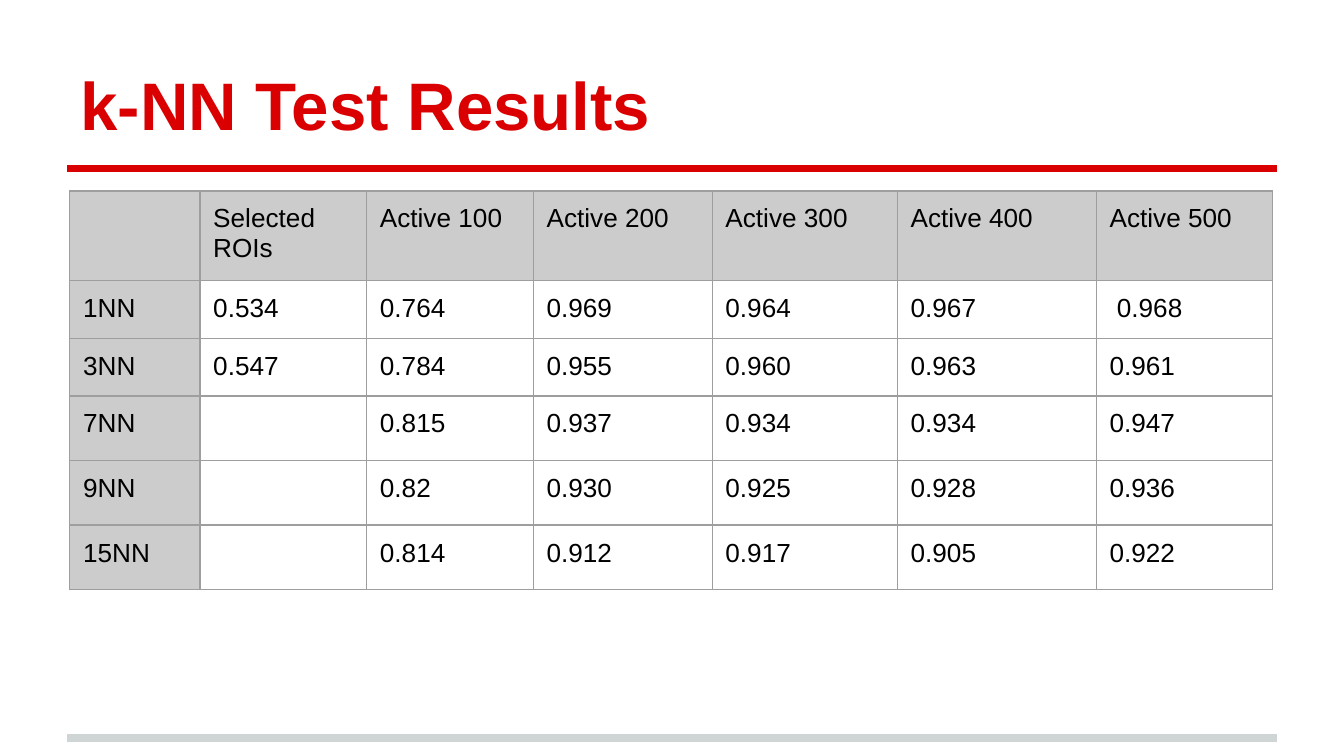
from lxml.etree import SubElement as Sub
from pptx import Presentation
from pptx.dml.color import RGBColor as RGB
from pptx.enum.shapes import MSO_CONNECTOR as CONN
from pptx.enum.text import MSO_ANCHOR as ANCHOR
from pptx.oxml.ns import qn
from pptx.util import Cm, Pt

COLORS = {
    "red": "DA0002",
    "footer": "CFD4D4",
    "header": "CCCCCC",
    "border": "9E9E9E",
    "text": "000000",
}
COL_WIDTHS = [2.46, 3.15, 3.15, 3.38, 3.5, 3.76, 3.33]
ROW_HEIGHTS = [1.6, 1.09, 1.09, 1.22, 1.22, 1.22]
RESULTS = [
    ["", "Selected ROIs"] + [f"Active {n}" for n in range(100, 600, 100)],
    ["1NN", "0.534", "0.764", "0.969", "0.964", "0.967", " 0.968"],
    ["3NN", "0.547", "0.784", "0.955", "0.960", "0.963", "0.961"],
    ["7NN", "", "0.815", "0.937", "0.934", "0.934", "0.947"],
    ["9NN", "", "0.82", "0.930", "0.925", "0.928", "0.936"],
    ["15NN", "", "0.814", "0.912", "0.917", "0.905", "0.922"],
]


class Deck:
    font = "Arial"
    inset = Cm(0.25)

    def __init__(self, prs):
        self.s = prs.slides.add_slide(prs.slide_layouts[6])

    def color(self, name):
        return RGB.from_string(COLORS[name])

    def set_text(self, p, text, size, color, bold=False):
        p.text = text
        f = p.font
        f.name, f.size, f.bold = self.font, Pt(size), bold
        f.color.rgb = self.color(color)

    def set_margins(self, box):
        box.margin_left = box.margin_right = self.inset
        box.margin_top = box.margin_bottom = self.inset

    def rule(self, x1, x2, y, color, width):
        ln = self.s.shapes.add_connector(CONN.STRAIGHT, Cm(x1), Cm(y), Cm(x2), Cm(y))
        ln.line.color.rgb = self.color(color)
        ln.line.width = Pt(width)
        Sub(ln._element.spPr, qn("a:effectLst"))

    def title(self, text, x, y, w, h):
        tf = self.s.shapes.add_textbox(Cm(x), Cm(y), Cm(w), Cm(h)).text_frame
        tf.word_wrap = True
        tf.vertical_anchor = ANCHOR.BOTTOM
        self.set_margins(tf)
        self.set_text(tf.paragraphs[0], text, 36, "red", bold=True)

    def borders(self, cell, color, width):
        tc_pr = cell._tc.get_or_add_tcPr()
        for side in ("lnL", "lnR", "lnT", "lnB"):
            ln = Sub(tc_pr, qn(f"a:{side}"), w=str(Pt(width)))
            fill = Sub(ln, qn("a:solidFill"))
            Sub(fill, qn("a:srgbClr"), val=COLORS[color])

    def table(self, rows, x, y, widths, heights):
        tbl = self.s.shapes.add_table(
            len(rows), len(widths), Cm(x), Cm(y), Cm(sum(widths)), Cm(sum(heights))
        ).table
        tbl.first_row = tbl.horz_banding = False
        for col, w in zip(tbl.columns, widths):
            col.width = Cm(w)
        for row, h in zip(tbl.rows, heights):
            row.height = Cm(h)
        for i, values in enumerate(rows):
            for j, value in enumerate(values):
                cell = tbl.cell(i, j)
                self.set_margins(cell)
                self.set_text(cell.text_frame.paragraphs[0], value, 14, "text")
                self.borders(cell, "border", 0.75)
                # Shade the header row and the label column
                if i == 0 or j == 0:
                    cell.fill.solid()
                    cell.fill.fore_color.rgb = self.color("header")
                else:
                    cell.fill.background()


def main():
    prs = Presentation()
    prs.slide_width, prs.slide_height = Cm(25.4), Cm(14.29)
    deck = Deck(prs)

    # Footer and title rules
    deck.rule(1.27, 24.13, 13.95, "footer", 4)
    deck.rule(1.27, 24.13, 3.18, "red", 4)

    # Title
    deck.title("k-NN Test Results", 1.27, 0.58, 22.86, 2.39)

    # Accuracy table
    deck.table(RESULTS, 1.32, 3.61, COL_WIDTHS, ROW_HEIGHTS)

    prs.save("out.pptx")


if __name__ == "__main__":
    main()
